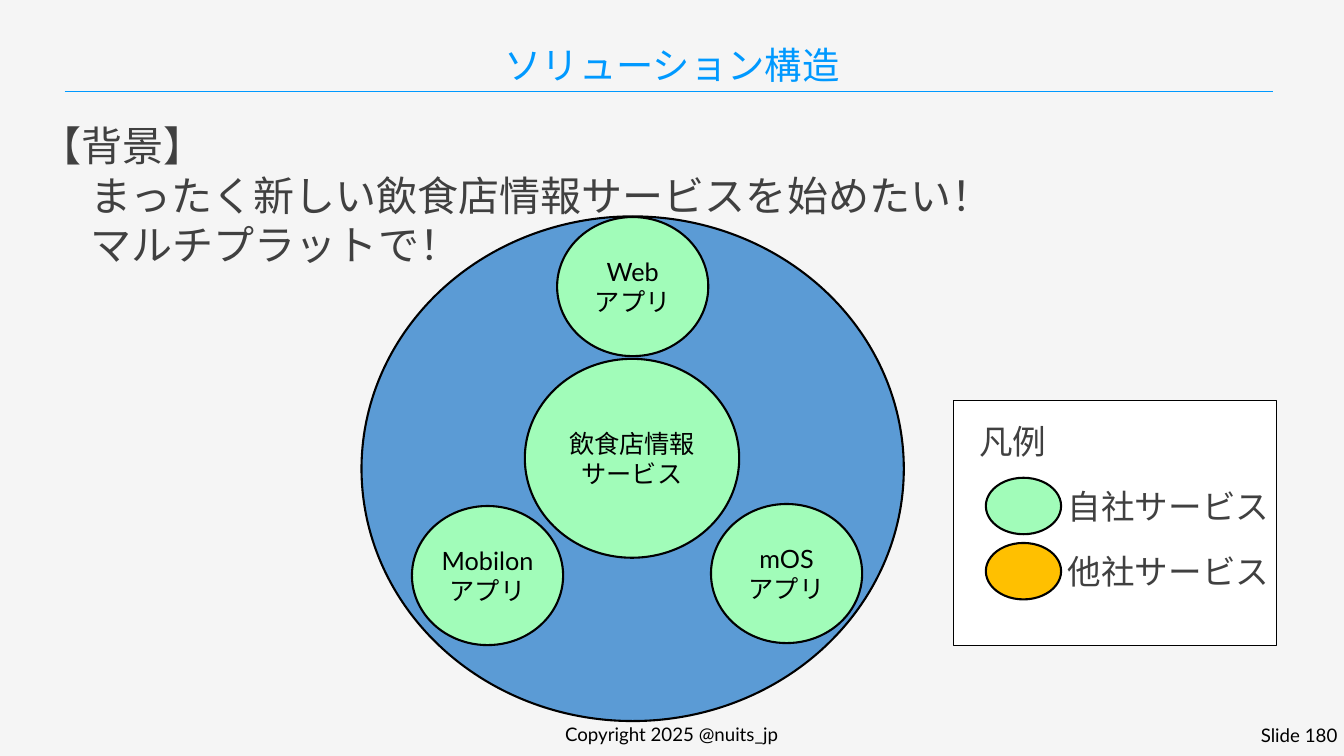
from pptx import Presentation
from pptx.dml.color import RGBColor
from pptx.enum.shapes import MSO_CONNECTOR, MSO_SHAPE
from pptx.enum.text import MSO_ANCHOR, MSO_AUTO_SIZE, PP_ALIGN
from pptx.oxml.ns import qn
from pptx.util import Inches, Pt
from lxml import etree

BACKGROUND = RGBColor(0xF5, 0xF5, 0xF5)
ACCENT = RGBColor(0x00, 0x99, 0xFF)
BLACK = RGBColor(0x00, 0x00, 0x00)
WHITE = RGBColor(0xFF, 0xFF, 0xFF)
GREY = RGBColor(0x40, 0x40, 0x40)
BLUE = RGBColor(0x5B, 0x9B, 0xD5)
GREEN = RGBColor(0xA1, 0xFC, 0xB9)
ORANGE = RGBColor(0xFF, 0xC0, 0x00)


def write(box, lines, size, color, align=PP_ALIGN.LEFT, anchor=MSO_ANCHOR.TOP, wrap=False):
    frame = box.text_frame
    frame.word_wrap = wrap
    frame.vertical_anchor = anchor
    for index, line in enumerate(lines):
        para = frame.paragraphs[0] if index == 0 else frame.add_paragraph()
        para.alignment = align
        span = para.add_run()
        span.text = line
        span.font.name = "Lato"
        span.font.size = Pt(size)
        span.font.color.rgb = color
    return frame


def draw(shapes, kind, place, fill, width):
    shape = shapes.add_shape(kind, *map(Inches, place))
    shape.shadow.inherit = False
    shape.fill.solid()
    shape.fill.fore_color.rgb = fill
    shape.line.color.rgb = BLACK
    shape.line.width = Pt(width)
    return shape


deck = Presentation()
deck.slide_width = Inches(20)
deck.slide_height = Inches(11.25)
page = deck.slides.add_slide(deck.slide_layouts[6])
page.background.fill.solid()
page.background.fill.fore_color.rgb = BACKGROUND

for place, line, align in [
    ((6.62, 10.74, 6.75, 0.38), "Copyright 2025 @nuits_jp", PP_ALIGN.CENTER),
    ((18.28, 10.75, 1.72, 0.37), "Slide 180", PP_ALIGN.RIGHT),
]:
    footer = page.shapes.add_textbox(*map(Inches, place))
    write(footer, [line], 20, BLACK, align, MSO_ANCHOR.MIDDLE, True)

rule = page.shapes.add_connector(
    MSO_CONNECTOR.STRAIGHT, Inches(0.96), Inches(1.36), Inches(18.94), Inches(1.36)
)
rule.line.color.rgb = ACCENT
rule.line.width = Pt(0.5)
etree.SubElement(rule._element.spPr, qn("a:effectLst"))

title = page.shapes.add_textbox(Inches(0.35), Inches(0.51), Inches(19.3), Inches(0.84))
frame = write(title, ["ソリューション構造"], 40, ACCENT, PP_ALIGN.CENTER, MSO_ANCHOR.BOTTOM, True)
frame.paragraphs[0].line_spacing = 0.9

background = page.shapes.add_textbox(Inches(0.5), Inches(1.75), Inches(14.54), Inches(2.32))
frame = write(
    background,
    ["【背景】", "まったく新しい飲食店情報サービスを始めたい！", "マルチプラットで！"],
    44,
    GREY,
)
frame.auto_size = MSO_AUTO_SIZE.SHAPE_TO_FIT_TEXT
for para in frame.paragraphs[1:]:
    para.level = 1
    para._p.get_or_add_pPr().set("marL", str(Inches(0.75)))
    para._p.get_or_add_pPr().set("indent", "0")

legend = page.shapes.add_group_shape().shapes
draw(legend, MSO_SHAPE.RECTANGLE, (14.19, 5.96, 4.81, 3.64), WHITE, 1)
heading = legend.add_textbox(Inches(14.47), Inches(6.21), Inches(1.21), Inches(0.71))
write(heading, ["凡例"], 36, GREY).auto_size = MSO_AUTO_SIZE.SHAPE_TO_FIT_TEXT
for row, (line, fill) in enumerate([("自社サービス", GREEN), ("他社サービス", ORANGE)]):
    top = 7.11 + 0.97 * row
    draw(legend, MSO_SHAPE.OVAL, (14.67, top, 1.12, 0.84), fill, 2.25)
    label = legend.add_textbox(Inches(15.79), Inches(top + 0.07), Inches(3.23), Inches(0.71))
    write(label, [line], 36, GREY).auto_size = MSO_AUTO_SIZE.SHAPE_TO_FIT_TEXT

solution = page.shapes.add_group_shape().shapes
draw(solution, MSO_SHAPE.OVAL, (5.38, 3.22, 8.07, 7.51), BLUE, 2.25)
core = draw(solution, MSO_SHAPE.OVAL, (7.81, 5.34, 3.19, 2.96), GREEN, 2.25)
frame = write(core, ["飲食店情報", "サービス"], 27, BLACK, PP_ALIGN.CENTER, MSO_ANCHOR.MIDDLE)
frame.margin_left = frame.margin_right = frame.margin_top = frame.margin_bottom = 0
for platform, left, top in [("Web", 8.29, 3.23), ("Mobilon", 6.13, 7.53), ("mOS", 10.58, 7.5)]:
    client = draw(solution, MSO_SHAPE.OVAL, (left, top, 2.25, 2.07), GREEN, 2.25)
    write(client, [platform, "アプリ"], 27, BLACK, PP_ALIGN.CENTER, MSO_ANCHOR.MIDDLE)

deck.save("out.pptx")
